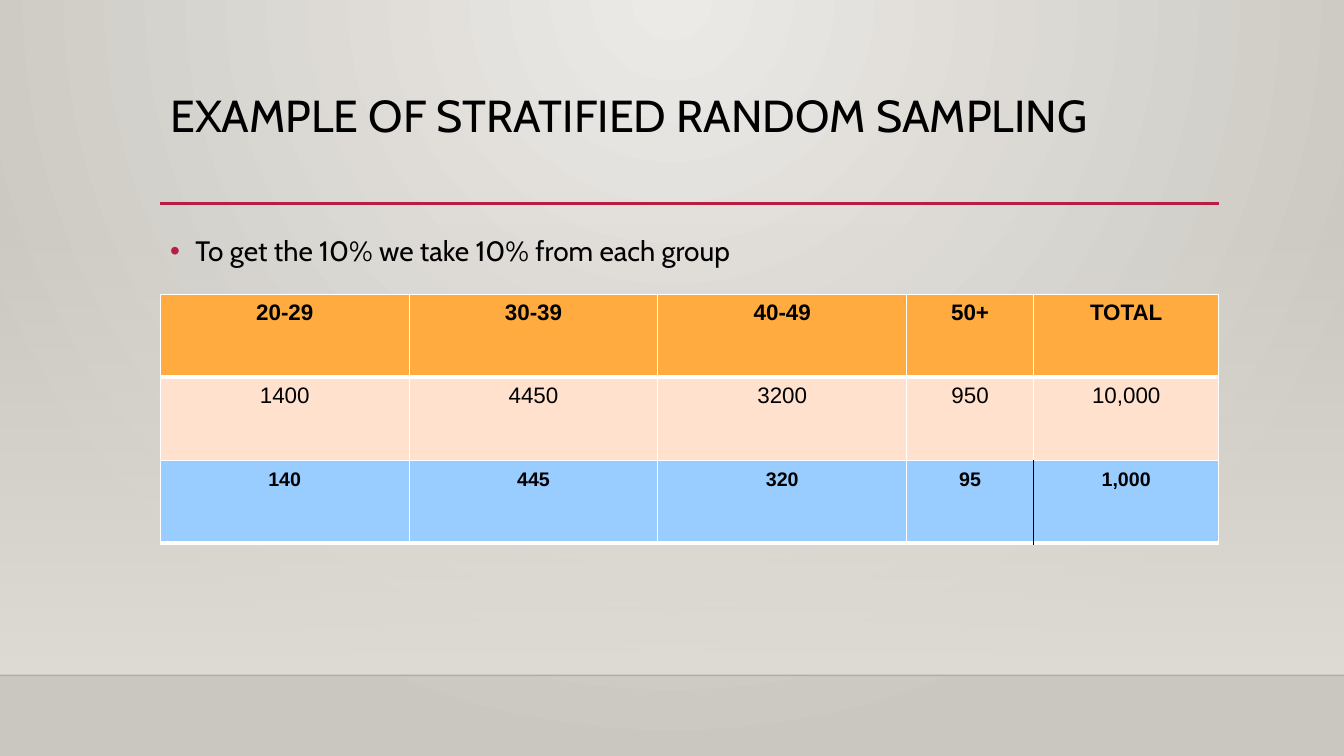
from dataclasses import dataclass

from pptx import Presentation
from pptx.dml.color import RGBColor
from pptx.enum.shapes import MSO_CONNECTOR, MSO_SHAPE
from pptx.enum.text import MSO_ANCHOR, PP_ALIGN
from pptx.oxml import parse_xml
from pptx.oxml.ns import nsdecls, qn
from pptx.util import Inches, Pt

RECTANGLE = MSO_SHAPE.RECTANGLE
STRAIGHT = MSO_CONNECTOR.STRAIGHT
TOP = MSO_ANCHOR.TOP
CENTER = PP_ALIGN.CENTER


@dataclass(frozen=True)
class Theme:
    heading_font: str = "Cabin"
    table_font: str = "Arial"
    title_size: int = 32
    body_size: int = 20
    ink: str = "000000"
    accent: str = "B71E42"
    wall_light: str = "ECEAE7"
    wall_dark: str = "CAC7C1"
    haze: str = "DFDBD5"
    floor_line: str = "000001"
    border: str = "FFFFFF"


@dataclass(frozen=True)
class Box:
    """A region in inches."""
    left: float
    top: float
    width: float
    height: float

    def band(self, start, end):
        """The part between two shares of the height."""
        return Box(self.left, self.top + start * self.height,
                   self.width, (end - start) * self.height)

    def lengths(self):
        return [Inches(n) for n in (self.left, self.top, self.width, self.height)]


@dataclass(frozen=True)
class RowStyle:
    fill: str
    size: int
    bold: bool
    inset: float
    top_border: int
    bottom_border: int


THEME = Theme()
PAGE = Box(0, 0, 13.33, 7.5)
CONTENT = Box(1.59, 0.88, 10.5, 4.51)
FLOOR = 6.7 / 7.5
COLUMN_SHARES = (2.47, 2.47, 2.47, 1.26, 1.84)
AGE_GROUPS = (
    (RowStyle("FFAB40", 16, True, 0.06, 1, 3),
     ("20-29", "30-39", "40-49", "50+", "TOTAL")),
    (RowStyle("FFE1CE", 16, False, 0.06, 3, 1),
     ("1400", "4450", "3200", "950", "10,000")),
    (RowStyle("99CCFF", 14, True, 0.08, 1, 3),
     ("140", "445", "320", "95", "1,000")),
)


def rgb(color):
    return RGBColor.from_string(color)


def set_gradient(properties, stops, direction):
    """Replace a solid fill by (position, colour, opacity) stops, in percent."""
    marks = "".join(
        f'<a:gs pos="{position * 1000}"><a:srgbClr val="{color}">'
        f'<a:alpha val="{opacity * 1000}"/></a:srgbClr></a:gs>'
        for position, color, opacity in stops)
    gradient = parse_xml(f'<a:gradFill {nsdecls("a")} rotWithShape="1">'
                         f'<a:gsLst>{marks}</a:gsLst>{direction}</a:gradFill>')
    properties.replace(properties.find(qn("a:solidFill")), gradient)


def add_rule(slide, box, color, weight, opacity=100):
    """Draw a line along the bottom of the box."""
    bottom = Inches(box.top + box.height)
    rule = slide.shapes.add_connector(STRAIGHT, Inches(box.left), bottom,
                                      Inches(box.left + box.width), bottom)
    rule.line.color.rgb = rgb(color)
    rule.line.width = Pt(weight)
    properties = rule.element.find(qn("p:spPr"))
    properties.append(parse_xml(f'<a:effectLst {nsdecls("a")}/>'))
    if opacity < 100:
        properties.find(".//" + qn("a:srgbClr")).append(
            parse_xml(f'<a:alpha {nsdecls("a")} val="{opacity * 1000}"/>'))


def add_run(para, text, font, size, bold=False):
    span = para.add_run()
    span.text = text
    span.font.name = font
    span.font.size = Pt(size)
    span.font.bold = bold
    span.font.color.rgb = rgb(THEME.ink)


def add_text(slide, box, text, size, line_spacing):
    frame = slide.shapes.add_textbox(*box.lengths()).text_frame
    frame.word_wrap = True
    frame.vertical_anchor = TOP
    para = frame.paragraphs[0]
    para.line_spacing = line_spacing
    add_run(para, text, THEME.heading_font, size)
    return para


def add_backdrop(slide, box):
    slide.background.fill.solid()
    set_gradient(slide.element.find(".//" + qn("p:bgPr")),
                 ((0, THEME.wall_light, 100), (100, THEME.wall_dark, 100)),
                 '<a:path path="circle">'
                 '<a:fillToRect l="43000" t="0" r="43000" b="100000"/></a:path>')
    haze_box = box.band(2.21 / 7.5, FLOOR)
    haze = slide.shapes.add_shape(RECTANGLE, *haze_box.lengths())
    haze.shadow.inherit = False
    haze.line.fill.background()
    haze.fill.solid()
    set_gradient(haze.element.find(qn("p:spPr")),
                 ((0, THEME.haze, 0), (100, THEME.haze, 100)),
                 '<a:lin ang="5400000" scaled="0"/>')
    add_rule(slide, haze_box, THEME.floor_line, 1, opacity=20)


def add_heading(slide, box, text):
    add_rule(slide, box, THEME.accent, 2.5)
    add_text(slide, box, text, THEME.title_size, 0.9)


def add_bullet(slide, box, text):
    para = add_text(slide, box, text, THEME.body_size, 1.2)
    properties = para._p.get_or_add_pPr()
    indent = Inches(0.25)
    properties.set("marL", str(indent))
    properties.set("indent", str(-indent))
    for markup in (
            f'<a:buClr {nsdecls("a")}><a:srgbClr val="{THEME.accent}"/></a:buClr>',
            f'<a:buFont {nsdecls("a")} typeface="{THEME.table_font}"/>',
            f'<a:buChar {nsdecls("a")} char="•"/>'):
        properties.append(parse_xml(markup))


def set_borders(cell, borders):
    """Give a cell its (side, colour, points) borders, in L, R, T, B order."""
    properties = cell._tc.get_or_add_tcPr()
    for place, (side, color, weight) in enumerate(borders):
        properties.insert(place, parse_xml(
            f'<a:ln{side} {nsdecls("a")} w="{Pt(weight)}"><a:solidFill>'
            f'<a:srgbClr val="{color}"/></a:solidFill></a:ln{side}>'))


def fill_cell(cell, text, style, left_color, right_color):
    cell.fill.solid()
    cell.fill.fore_color.rgb = rgb(style.fill)
    cell.margin_left = cell.margin_right = cell.margin_bottom = 0
    cell.margin_top = Inches(style.inset)
    para = cell.text_frame.paragraphs[0]
    para.alignment = CENTER
    add_run(para, text, THEME.table_font, style.size, style.bold)
    set_borders(cell, (("L", left_color, 1), ("R", right_color, 1),
                       ("T", THEME.border, style.top_border),
                       ("B", THEME.border, style.bottom_border)))


def add_group_table(slide, box, rows):
    columns = len(COLUMN_SHARES)
    table = slide.shapes.add_table(len(rows), columns, *box.lengths()).table
    for column, share in zip(table.columns, COLUMN_SHARES):
        column.width = Inches(box.width * share / sum(COLUMN_SHARES))
    for r, (style, texts) in enumerate(rows):
        table.rows[r].height = Inches(box.height / len(rows))
        sample_row = r == len(rows) - 1
        for c, text in enumerate(texts):
            left = THEME.ink if sample_row and c == columns - 1 else THEME.border
            right = THEME.ink if sample_row and c == columns - 2 else THEME.border
            fill_cell(table.cell(r, c), text, style, left, right)


def build_sampling_slide(slide, box):
    add_heading(slide, box.band(0, 0.253), "EXAMPLE OF STRATIFIED RANDOM SAMPLING")
    add_bullet(slide, box.band(0.293, 0.408),
               "To get the 10% we take 10% from each group")
    add_group_table(slide, box.band(0.452, 1), AGE_GROUPS)


def main():
    deck = Presentation()
    deck.slide_width, deck.slide_height = Inches(PAGE.width), Inches(PAGE.height)
    slide = deck.slides.add_slide(deck.slide_layouts[6])
    add_backdrop(slide, PAGE)
    build_sampling_slide(slide, CONTENT)
    deck.save("out.pptx")


if __name__ == "__main__":
    main()
